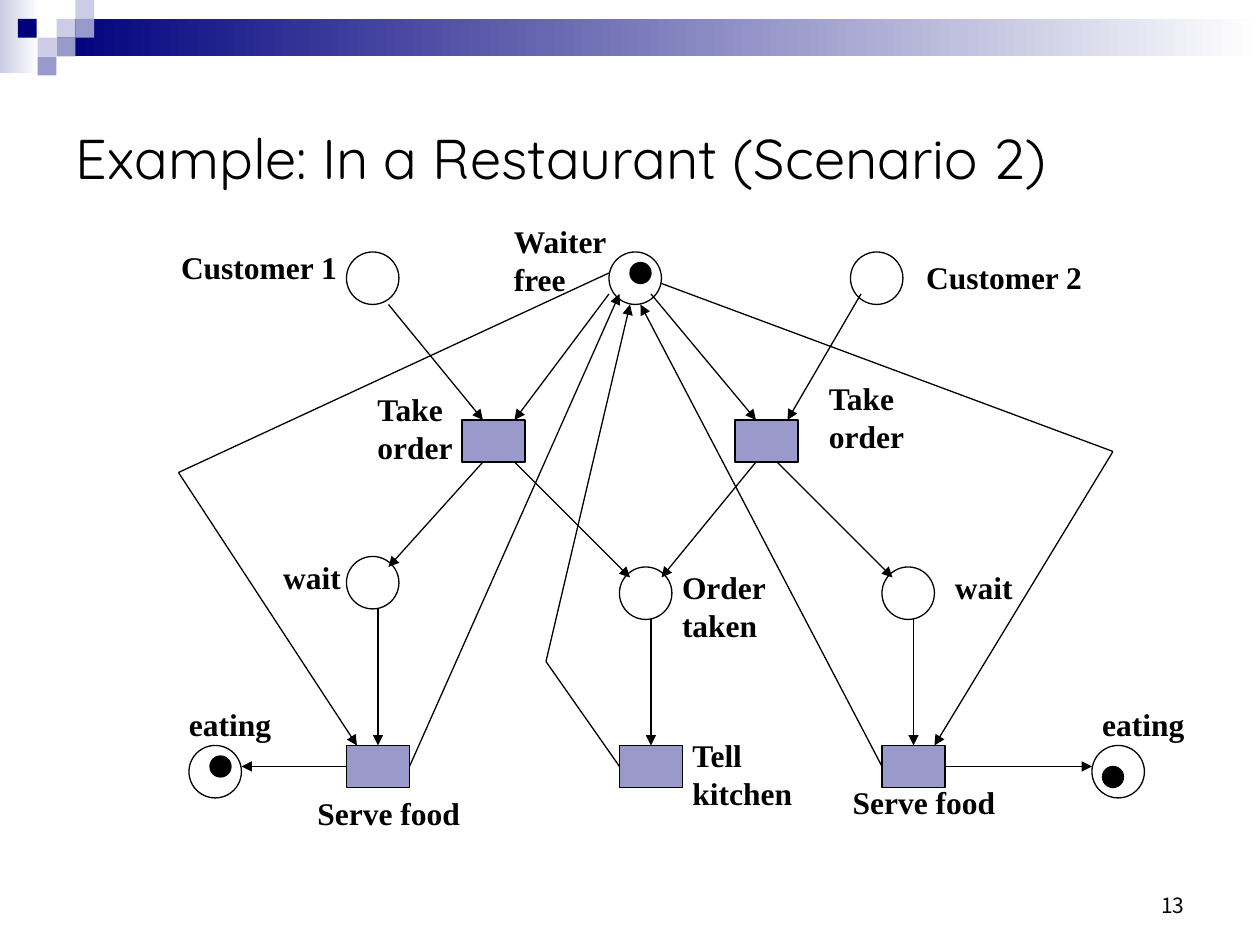
from dataclasses import dataclass

from lxml import etree
from pptx import Presentation
from pptx.dml.color import RGBColor
from pptx.enum.shapes import MSO_CONNECTOR, MSO_SHAPE
from pptx.enum.text import MSO_ANCHOR, MSO_AUTO_SIZE, PP_ALIGN
from pptx.oxml.ns import qn
from pptx.util import Cm, Pt

RECT, OVAL = MSO_SHAPE.RECTANGLE, MSO_SHAPE.OVAL
STRAIGHT = MSO_CONNECTOR.STRAIGHT
MIDDLE, BOTTOM = MSO_ANCHOR.MIDDLE, MSO_ANCHOR.BOTTOM
GROW = MSO_AUTO_SIZE.SHAPE_TO_FIT_TEXT
LEFT, RIGHT = PP_ALIGN.LEFT, PP_ALIGN.RIGHT
TOP_SIDE, LEFT_SIDE, RIGHT_SIDE = 0, 1, 3


@dataclass(frozen=True)
class Theme:
    ink: str = "000000"
    white: str = "FFFFFF"
    navy: str = "00007D"
    violet: str = "9999CC"
    pale: str = "CCCCE6"
    head: tuple = ("Quicksand", 32, False)
    label: tuple = ("Times New Roman", 18, True)
    number: tuple = ("Noto Sans CJK KR", 12, False)
    line: float = 0.75


THEME = Theme()
CELL = 0.38  # header squares, cm

# The net lies on a grid of twelfths of an inch.
PLACES = [(33, 24), (58, 24), (81, 24), (33, 53), (59, 54), (84, 54),
          (104, 71), (18, 71)]
TOKENS = [(105, 73), (20, 72), (60, 25)]
STEPS = {"order 1": (44, 40), "order 2": (70, 40), "serve 1": (33, 71),
         "kitchen": (59, 71), "serve 2": (84, 71)}

# Points along each arc, step joined at the start, step joined at the end.
ARCS = [
    ([(37, 29), (46, 40)], None, None),
    ([(58, 28), (49, 40)], None, None),
    ([(62, 28), (72, 40)], None, None),
    ([(82, 28), (75, 40)], None, None),
    ([(46, 44), (37, 54)], None, None),
    ([(49, 44), (60, 55)], None, None),
    ([(72, 44), (63, 55)], None, None),
    ([(74, 44), (85, 55)], None, None),
    ([(36, 58), (36, 71)], None, ("serve 1", TOP_SIDE)),
    ([(62, 59), (62, 71)], None, ("kitchen", TOP_SIDE)),
    ([(87, 59), (87, 71)], None, ("serve 2", TOP_SIDE)),
    ([(33, 73), (23, 73)], ("serve 1", LEFT_SIDE), None),
    ([(90, 73), (104, 73)], ("serve 2", RIGHT_SIDE), None),
    ([(39, 73), (59, 28)], ("serve 1", RIGHT_SIDE), None),
    ([(59, 73), (52, 63), (60, 29)], ("kitchen", LEFT_SIDE), None),
    ([(84, 73), (61, 29)], ("serve 2", LEFT_SIDE), None),
    ([(58, 26), (17, 45), (34, 71)], None, None),
    ([(63, 27), (106, 43), (89, 71)], None, None),
]

# Text, left, top, width in cm.
LABELS = [
    ("Waiter\nfree", 10.11, 4.35, 2.43),
    ("Customer 1", 3.4, 4.88, 3.66),
    ("Customer 2", 18.42, 5.08, 3.66),
    ("Take\norder", 7.36, 7.74, 2.05),
    ("Take\norder", 16.46, 7.52, 2.05),
    ("Order\ntaken", 13.5, 11.33, 2.22),
    ("Tell\nkitchen", 13.71, 14.72, 2.55),
    ("wait", 5.46, 11.13, 1.68),
    ("wait", 19, 11.33, 1.68),
    ("Serve food", 6.15, 15.88, 3.38),
    ("Serve food", 16.94, 15.67, 3.38),
    ("eating", 3.56, 14.08, 2.16),
    ("eating", 21.97, 14.08, 2.16),
]


def color(code):
    return RGBColor.from_string(code)


def grid(n):
    return Cm(n * 2.54 / 12)


def style(frame, face, align=LEFT):
    name, size, bold = face
    for para in frame.paragraphs:
        para.alignment = align
        for run in para.runs:
            run.font.name = name
            run.font.size = Pt(size)
            run.font.bold = bold
            run.font.color.rgb = color(THEME.ink)


def shape(slide, kind, box, fill=None, line=None):
    """Add a preset shape; a pair of colours as fill makes a gradient."""
    item = slide.shapes.add_shape(kind, *box)
    item.shadow.inherit = False
    if isinstance(fill, tuple):
        item.fill.gradient()
        item.fill.gradient_angle = 0
        for stop, code in zip(item.fill.gradient_stops, fill):
            stop.color.rgb = color(code)
    elif fill:
        item.fill.solid()
        item.fill.fore_color.rgb = color(fill)
    else:
        item.fill.background()
    if line:
        item.line.color.rgb = color(line)
        item.line.width = Pt(THEME.line)
    else:
        item.line.fill.background()
    return item


def node(slide, kind, spot, size, fill=None):
    box = [grid(n) for n in (*spot, *size)]
    return shape(slide, kind, box, fill, THEME.ink)


def link(slide, start, end, arrow):
    item = slide.shapes.add_connector(
        STRAIGHT, *[grid(n) for n in (*start, *end)])
    item.line.color.rgb = color(THEME.ink)
    item.line.width = Pt(THEME.line)
    if arrow:
        tip = etree.SubElement(item.line._get_or_add_ln(), qn("a:tailEnd"))
        tip.set("type", "triangle")
    etree.SubElement(item._element.spPr, qn("a:effectLst"))
    return item


def arc(slide, steps, points, source, target):
    """Draw a chain of lines with an arrowhead on the last one."""
    last = len(points) - 2
    lines = [link(slide, a, b, i == last)
             for i, (a, b) in enumerate(zip(points, points[1:]))]
    if source:
        lines[0].begin_connect(steps[source[0]], source[1])
    if target:
        lines[-1].end_connect(steps[target[0]], target[1])


def label(slide, text, box, face, align=LEFT):
    frame = slide.shapes.add_textbox(*[Cm(n) for n in box]).text_frame
    frame.text = text
    style(frame, face, align)
    return frame


def header(slide):
    shape(slide, RECT, [Cm(n) for n in (0, 0, 0.79, 1.47)],
          (THEME.pale, THEME.white))
    shape(slide, RECT, [Cm(n) for n in (3 * CELL, CELL, 24.26, 2 * CELL)],
          (THEME.navy, THEME.white))
    for col, row, fill in [
            (3, 1, THEME.pale), (4, 0, THEME.pale), (4, 1, THEME.violet),
            (2, 2, THEME.pale), (0.95, 1, THEME.navy),
            (3, 2, THEME.violet), (2, 3, THEME.violet)]:
        box = [Cm(n * CELL) for n in (col, row, 1, 1)]
        shape(slide, RECT, box, fill)


def title(slide, text):
    item = slide.shapes.title
    item.left, item.top, item.width, item.height = [
        Cm(n) for n in (1.27, 1.27, 22.86, 3.81)]
    item.text_frame.text = text
    item.text_frame.vertical_anchor = MIDDLE
    style(item.text_frame, THEME.head)


def net(slide):
    for spot in PLACES:
        node(slide, OVAL, spot, (5, 5))
    steps = {name: node(slide, RECT, spot, (6, 4), THEME.violet)
             for name, spot in STEPS.items()}
    for points, source, target in ARCS:
        arc(slide, steps, points, source, target)
    for spot in TOKENS:
        node(slide, OVAL, spot, (2, 2), THEME.ink)
    for text, left, top, width in LABELS:
        height = 1.78 if "\n" in text else 1.02
        frame = label(slide, text, (left, top, width, height), THEME.label)
        frame.word_wrap = False
        frame.auto_size = GROW


def main():
    deck = Presentation()
    deck.slide_width, deck.slide_height = Cm(25.4), Cm(19.05)
    slide = deck.slides.add_slide(deck.slide_layouts[5])
    header(slide)
    title(slide, "Example: In a Restaurant (Scenario 2)")
    net(slide)
    number = label(slide, "13", (18.21, 17.35, 5.92, 1.27), THEME.number,
                   RIGHT)
    number.word_wrap = True
    number.vertical_anchor = BOTTOM
    deck.save("out.pptx")


if __name__ == "__main__":
    main()
